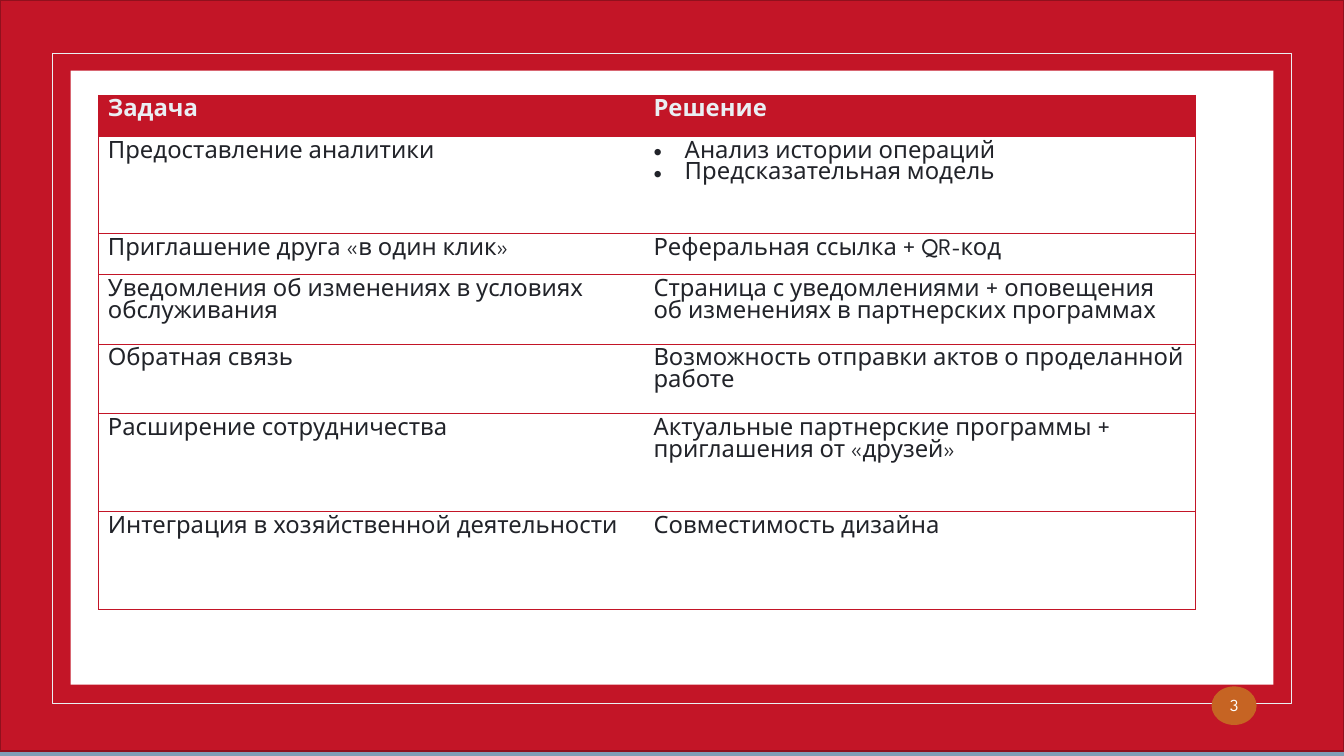
from lxml.etree import SubElement
from pptx import Presentation
from pptx.dml.color import RGBColor
from pptx.enum.shapes import MSO_SHAPE
from pptx.enum.text import MSO_ANCHOR, PP_ALIGN
from pptx.oxml import parse_xml
from pptx.oxml.ns import nsdecls, qn
from pptx.util import Inches, Pt

RED, INK, PALE, WHITE = "C31527", "212329", "EAEFF3", "FFFFFF"


def color(value):
    return RGBColor.from_string(value)


class SlideBuilder:
    font_name = "League Spartan"

    def __init__(self, deck, background):
        self.width, self.height = deck.slide_width, deck.slide_height
        self.slide = deck.slides.add_slide(deck.slide_layouts[6])
        fill = self.slide.background.fill
        fill.solid()
        fill.fore_color.rgb = color(background)

    def across(self, percent):
        return round(self.width * percent / 100)

    def down(self, percent):
        return round(self.height * percent / 100)

    def place(self, left, top, width, height):
        return self.across(left), self.down(top), self.across(width), self.down(height)

    def paint(self, fill, value):
        if value:
            fill.solid()
            fill.fore_color.rgb = color(value)
        else:
            fill.background()

    def style(self, paragraph, size, ink, bold=False):
        font = paragraph.font
        font.name, font.size, font.bold = self.font_name, Pt(size), bold
        font.color.rgb = color(ink)

    def panel(self, box, fill=None, line=None, kind=MSO_SHAPE.RECTANGLE):
        panel = self.slide.shapes.add_shape(kind, *self.place(*box))
        panel.shadow.inherit = False
        self.paint(panel.fill, fill)
        self.paint(panel.line.fill, line)
        if line:
            panel.line.width = Pt(1)
        return panel

    def badge(self, box, number, fill):
        badge = self.panel(box, fill, kind=MSO_SHAPE.FLOWCHART_CONNECTOR)
        frame = badge.text_frame
        frame.margin_left = frame.margin_right = 0
        frame.margin_top = frame.margin_bottom = 0
        frame.vertical_anchor = MSO_ANCHOR.MIDDLE
        paragraph = frame.paragraphs[0]
        paragraph.text = number
        paragraph.alignment = PP_ALIGN.CENTER
        paragraph.line_spacing = 0.9
        paragraph.space_after = Pt(6)
        self.style(paragraph, 12, WHITE)

    def bullet(self, paragraph):
        properties = paragraph._p.get_or_add_pPr()
        indent = Inches(0.31)
        properties.set("marL", str(indent))
        properties.set("indent", str(-indent))
        SubElement(properties, qn("a:buFont")).set("typeface", "Arial")
        SubElement(properties, qn("a:buChar")).set("char", "•")

    def borders(self, cell, outer_left, outer_right):
        drawn = {"lnL": outer_left, "lnR": outer_right, "lnT": True, "lnB": True}
        for index, (side, visible) in enumerate(drawn.items()):
            paint = (f'<a:solidFill><a:srgbClr val="{RED}"/></a:solidFill>'
                     if visible else "<a:noFill/>")
            edge = f'<a:{side} {nsdecls("a")} w="{Pt(0.5)}">{paint}</a:{side}>'
            cell._tc.get_or_add_tcPr().insert(index, parse_xml(edge))

    def cell(self, cell, text, heading):
        cell.margin_left = cell.margin_right = Inches(0.09)
        cell.margin_top = cell.margin_bottom = Inches(0.05)
        self.paint(cell.fill, RED if heading else None)
        items = [text] if isinstance(text, str) else text
        frame = cell.text_frame
        for index, item in enumerate(items):
            paragraph = frame.add_paragraph() if index else frame.paragraphs[0]
            paragraph.text = item
            if len(items) > 1:
                self.bullet(paragraph)
            self.style(paragraph, 17, PALE if heading else INK, heading)

    def table(self, left, top, widths, heights, rows):
        box = self.place(left, top, sum(widths), sum(heights))
        table = self.slide.shapes.add_table(len(rows), len(widths), *box).table
        table.horz_banding = False
        for column, width in zip(table.columns, widths):
            column.width = self.across(width)
        for y, (texts, height) in enumerate(zip(rows, heights)):
            table.rows[y].height = self.down(height)
            for x, text in enumerate(texts):
                cell = table.cell(y, x)
                self.cell(cell, text, heading=y == 0)
                self.borders(cell, x == 0, x == len(widths) - 1)


TASKS = [
    ("Задача", "Решение"),
    ("Предоставление аналитики", ("Анализ истории операций", "Предсказательная модель")),
    ("Приглашение друга «в один клик»", "Реферальная ссылка + QR-код"),
    ("Уведомления об изменениях в условиях обслуживания",
     "Страница с уведомлениями + оповещения об изменениях в партнерских программах"),
    ("Обратная связь", "Возможность отправки актов о проделанной работе"),
    ("Расширение сотрудничества",
     "Актуальные партнерские программы + приглашения от «друзей»"),
    ("Интеграция в хозяйственной деятельности", "Совместимость дизайна"),
]


def main():
    deck = Presentation()
    deck.slide_width, deck.slide_height = Inches(13.33), Inches(7.5)
    builder = SlideBuilder(deck, RED)
    builder.panel((0, 0, 100, 100), "809EB6")
    builder.panel((0, 0, 100, 99.33), RED, "90101D")
    builder.panel((3.9, 7.05, 92.2, 86), line=PALE)
    builder.panel((5.25, 9.35, 89.5, 81.2), WHITE)
    builder.table(7.35, 12.6, (40.6, 41), (5.45, 12.85, 5.45, 9.2, 9.2, 12.95, 12.9), TASKS)
    builder.badge((90.15, 90.8, 3.35, 5.1), "3", "C66423")
    deck.save("out.pptx")


if __name__ == "__main__":
    main()
